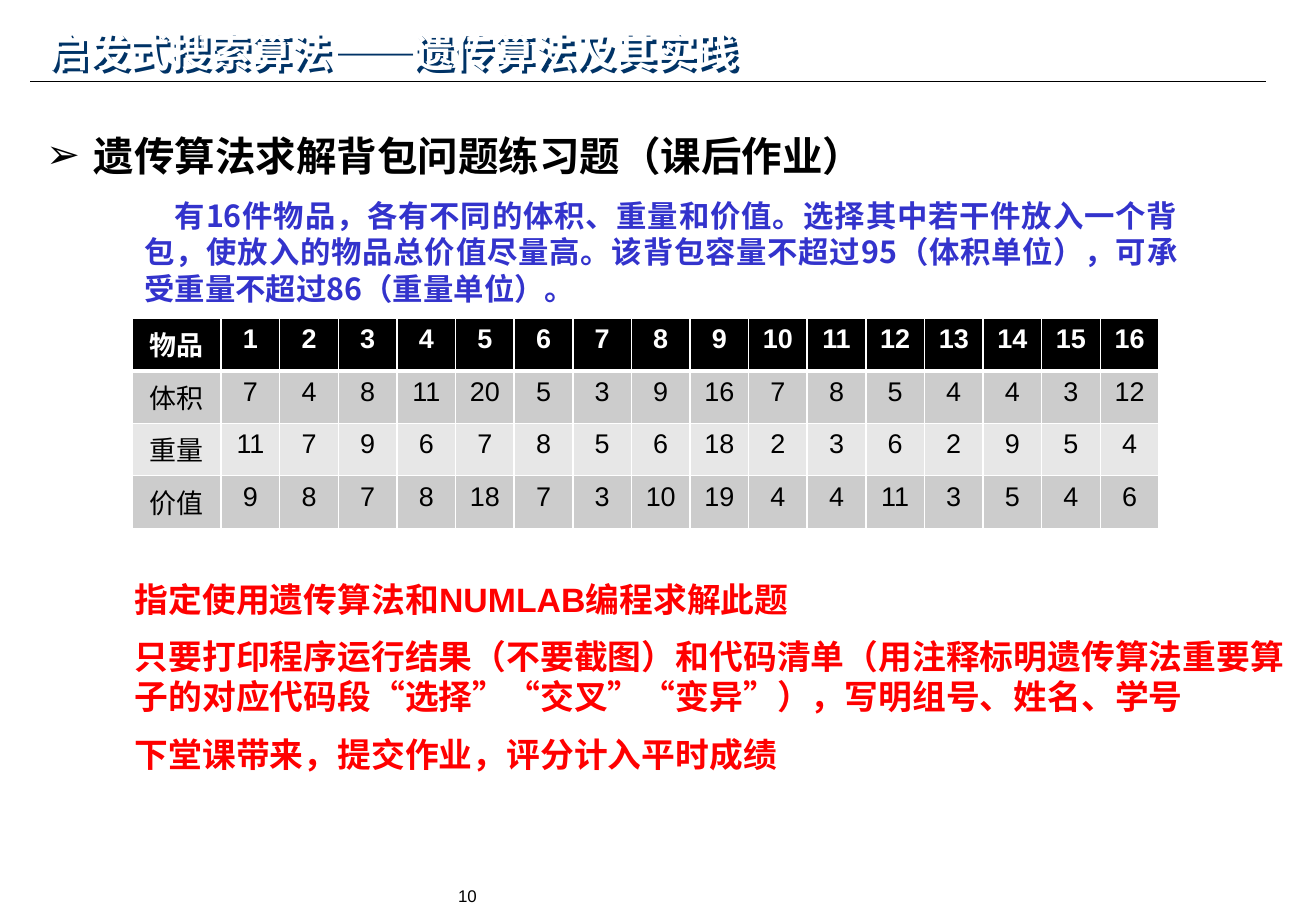
"""Build the homework slide on solving the knapsack problem with a genetic algorithm."""
from lxml.etree import SubElement
from pptx import Presentation
from pptx.dml.color import RGBColor
from pptx.enum.text import MSO_ANCHOR as Anchor, MSO_AUTO_SIZE as AutoSize, PP_ALIGN as Align
from pptx.oxml.ns import qn
from pptx.util import Pt

PX = 9144
BLACK, WHITE, RED, BLUE, NAVY = "000000", "FFFFFF", "FF0000", "3333CC", "003366"
CJK = "Noto Sans CJK SC"


def write(paragraph, text, size, color, bold=True, font="Arial", align=Align.LEFT, before=0, line=None):
    paragraph.alignment = align
    paragraph.space_before = Pt(before)
    if line:
        paragraph.line_spacing = Pt(line)
    run = paragraph.add_run()
    run.text = text
    run.font.size, run.font.bold, run.font.name = Pt(size), bold, font
    run.font.color.rgb = RGBColor.from_string(color)
    SubElement(run.font._element, qn("a:ea"), typeface=CJK)


def place(shape, left, top, width, height, margins=(10, 5)):
    shape.left, shape.top, shape.width, shape.height = (v * PX for v in (left, top, width, height))
    frame = shape.text_frame
    frame.word_wrap, frame.auto_size = True, AutoSize.NONE
    frame.margin_left = frame.margin_right = margins[0] * PX
    frame.margin_top = frame.margin_bottom = margins[1] * PX
    frame.vertical_anchor = Anchor.TOP
    return frame


prs = Presentation()
prs.slide_width, prs.slide_height = 1083 * PX, 750 * PX
slide = prs.slides.add_slide(prs.slide_layouts[1])
shapes = slide.shapes
title, topic = slide.placeholders

rule = shapes.add_connector(1, 25 * PX, 67 * PX, 1042 * PX, 67 * PX)
rule.line.color.rgb = RGBColor.from_string(BLACK)
rule.line.width = Pt(0.75)
SubElement(rule._element.spPr, qn("a:effectLst"))

page = place(shapes.add_textbox(0, 0, 0, 0), 370, 725, 343, 25, (7, 4))
write(page.paragraphs[0], "10", 10, BLACK, bold=False)

heading = place(title, 30, 17, 921, 50)
heading.vertical_anchor = Anchor.MIDDLE
write(heading.paragraphs[0], "启发式搜索算法——遗传算法及其实践", 24, WHITE)
effects = SubElement(title._element.spPr, qn("a:effectLst"))
shadow = SubElement(effects, qn("a:outerShdw"), dist="35921", dir="2700000", algn="ctr", rotWithShape="0")
SubElement(shadow, qn("a:srgbClr"), val=NAVY)

topic_line = place(topic, 28, 103, 990, 50).paragraphs[0]
write(topic_line, "遗传算法求解背包问题练习题（课后作业）", 24, BLACK, line=28.5)
topic_pr = topic_line._p.get_or_add_pPr()
topic_pr.set("marL", str(39 * PX))
topic_pr.set("indent", str(-39 * PX))
SubElement(topic_pr, qn("a:buFont"), typeface="Arial")
SubElement(topic_pr, qn("a:buChar"), char="➢")

problem = place(shapes.add_textbox(0, 0, 0, 0), 109, 161, 870, 93, (10, 1)).paragraphs[0]
write(problem, "有16件物品，各有不同的体积、重量和价值。选择其中若干件放入一个背包，使放入的物品总价值尽量高。"
      "该背包容量不超过95（体积单位），可承受重量不超过86（重量单位）。",
      18, BLUE, font=CJK, align=Align.JUSTIFY, line=21.7)
problem._p.get_or_add_pPr().set("indent", str(25 * PX))

requirements = [
    "指定使用遗传算法和NUMLAB编程求解此题",
    "只要打印程序运行结果（不要截图）和代码清单（用注释标明遗传算法重要算子的对应代码段“选择”“交叉”“变异”），写明组号、姓名、学号",
    "下堂课带来，提交作业，评分计入平时成绩",
]
homework = place(shapes.add_textbox(0, 0, 0, 0), 101, 472, 982, 178)
for i, requirement in enumerate(requirements):
    paragraph = homework.paragraphs[0] if i == 0 else homework.add_paragraph()
    write(paragraph, requirement, 20, RED, before=10 if i else 0, line=23.8)

items = [
    ("物品", *range(1, 17)),
    ("体积", 7, 4, 8, 11, 20, 5, 3, 9, 16, 7, 8, 5, 4, 4, 3, 12),
    ("重量", 11, 7, 9, 6, 7, 8, 5, 6, 18, 2, 3, 6, 2, 9, 5, 4),
    ("价值", 9, 8, 7, 8, 18, 7, 3, 10, 19, 4, 4, 11, 3, 5, 4, 6),
]
row_fills = [BLACK, "CCCCCC", "E7E7E7", "CCCCCC"]
label_width, table_width, table_height = 73 * PX, 845 * PX, 173 * PX
table = shapes.add_table(4, 17, 109 * PX, 262 * PX, table_width, table_height).table
for c, column in enumerate(table.columns):
    column.width = (table_width - label_width) // 16 if c else label_width
for r, values in enumerate(items):
    table.rows[r].height = table_height // 4
    for c, value in enumerate(values):
        cell = table.cell(r, c)
        write(cell.text_frame.paragraphs[0], str(value), 16, BLACK if r else WHITE,
              bold=r == 0, align=Align.CENTER)
        for side in "LRTB":
            thick = (r, side) in ((0, "B"), (1, "T"))
            border = SubElement(cell._tc.get_or_add_tcPr(), qn(f"a:ln{side}"), w=str(Pt(3 if thick else 1)))
            SubElement(SubElement(border, qn("a:solidFill")), qn("a:srgbClr"), val=WHITE)
        cell.fill.solid()
        cell.fill.fore_color.rgb = RGBColor.from_string(row_fills[r])

prs.save("out.pptx")
